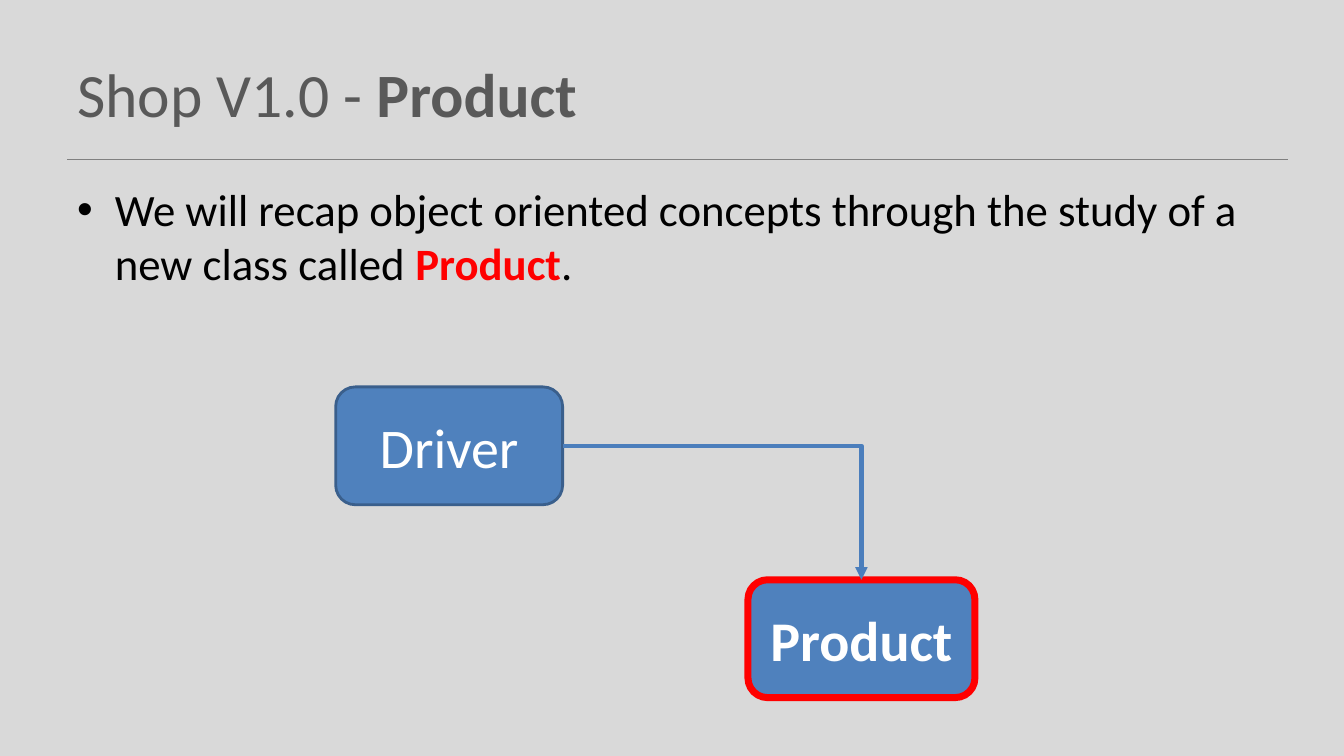
from dataclasses import dataclass

import pptx
import pptx.dml.color
import pptx.enum.shapes
import pptx.enum.text
import pptx.oxml
import pptx.oxml.ns
import pptx.util
from pptx.util import Cm, Pt

BLUE = "4F81BD"
RED = "FF0000"
WHITE = "FFFFFF"


@dataclass(frozen=True)
class TextPart:
    text: str
    size: int
    color: str
    bold: bool = False


@dataclass(frozen=True)
class ClassBox:
    label: TextPart
    left: float
    top: float
    line_color: str
    line_width: float


TITLE = [
    TextPart("Shop V1.0 - ", 44, "595959"),
    TextPart("Product", 44, "595959", bold=True),
]
BODY = [
    TextPart("We will recap object oriented concepts through the study of a new class called ", 32, "000000"),
    TextPart("Product", 32, RED, bold=True),
    TextPart(".", 32, "000000"),
]
DRIVER = ClassBox(TextPart("Driver", 40, WHITE), 8.46, 9.75, "3A5F8C", 2)
PRODUCT = ClassBox(TextPart("Product", 40, WHITE, bold=True), 18.85, 14.61, RED, 5)
BOX_WIDTH, BOX_HEIGHT = 5.72, 2.97


def rgb(color: str) -> pptx.dml.color.RGBColor:
    return pptx.dml.color.RGBColor.from_string(color)


def set_values(target, values: dict) -> None:
    for name, value in values.items():
        setattr(target, name, value)


def write_parts(paragraph, parts: list[TextPart]) -> None:
    for part in parts:
        run = paragraph.add_run()
        run.text = part.text
        set_values(run.font, {"name": "Calibri", "size": Pt(part.size), "bold": part.bold})
        run.font.color.rgb = rgb(part.color)


def fill_placeholder(shape, top: float, height: float, anchor, parts: list[TextPart]):
    """Place a full-width placeholder, write its text and return its paragraph."""
    set_values(shape, {"left": Cm(1.69), "top": Cm(top), "width": Cm(30.48), "height": Cm(height)})
    set_values(shape.text_frame, {
        "word_wrap": True,
        "auto_size": pptx.enum.text.MSO_AUTO_SIZE.NONE,
        "vertical_anchor": anchor,
    })
    paragraph = shape.text_frame.paragraphs[0]
    set_values(paragraph, {"alignment": pptx.enum.text.PP_ALIGN.LEFT, "space_before": Pt(0)})
    write_parts(paragraph, parts)
    return paragraph


def add_bullet(paragraph, indent: float) -> None:
    properties = paragraph._p.get_or_add_pPr()
    properties.set("marL", str(Cm(indent)))
    properties.set("indent", str(-Cm(indent)))
    bullet = pptx.oxml.parse_xml(f'<a:buChar {pptx.oxml.ns.nsdecls("a")} char="•"/>')
    properties.append(bullet)


def add_class_box(slide, box: ClassBox):
    shape = slide.shapes.add_shape(
        pptx.enum.shapes.MSO_SHAPE.ROUNDED_RECTANGLE,
        Cm(box.left), Cm(box.top), Cm(BOX_WIDTH), Cm(BOX_HEIGHT),
    )
    shape.shadow.inherit = False
    shape.fill.solid()
    shape.fill.fore_color.rgb = rgb(BLUE)
    shape.line.color.rgb = rgb(box.line_color)
    shape.line.width = Pt(box.line_width)
    shape.text_frame.vertical_anchor = pptx.enum.text.MSO_ANCHOR.MIDDLE
    paragraph = shape.text_frame.paragraphs[0]
    paragraph.alignment = pptx.enum.text.PP_ALIGN.CENTER
    write_parts(paragraph, [box.label])
    return shape


def add_line(slide, kind, start: tuple, end: tuple, color: str, width: float):
    line = slide.shapes.add_connector(kind, *map(Cm, start + end))
    line.line.color.rgb = rgb(color)
    line.line.width = Pt(width)
    properties = line._element.spPr
    properties.append(pptx.oxml.parse_xml(f'<a:effectLst {pptx.oxml.ns.nsdecls("a")}/>'))
    return line


def add_arrow(slide, source, target) -> None:
    """Link the right side of source to the top of target with one bend."""
    start = (DRIVER.left + BOX_WIDTH, DRIVER.top + BOX_HEIGHT / 2)
    end = (PRODUCT.left + BOX_WIDTH / 2, PRODUCT.top)
    arrow = add_line(slide, pptx.enum.shapes.MSO_CONNECTOR.ELBOW, start, end, "4B7EBC", 3)
    arrow.begin_connect(source, 3)
    arrow.end_connect(target, 0)
    arrow._element.spPr.find(pptx.oxml.ns.qn("a:prstGeom")).set("prst", "bentConnector2")
    head = pptx.oxml.parse_xml(f'<a:tailEnd {pptx.oxml.ns.nsdecls("a")} type="triangle"/>')
    arrow.line._get_or_add_ln().append(head)


def main() -> None:
    presentation = pptx.Presentation()
    set_values(presentation, {"slide_width": Cm(33.87), "slide_height": Cm(19.05)})
    slide = presentation.slides.add_slide(presentation.slide_layouts[1])
    slide.background.fill.solid()
    slide.background.fill.fore_color.rgb = rgb("D9D9D9")

    anchors = pptx.enum.text.MSO_ANCHOR
    fill_placeholder(slide.shapes.title, 0.76, 3.18, anchors.MIDDLE, TITLE)
    body = fill_placeholder(slide.placeholders[1], 4.45, 12.57, anchors.TOP, BODY)
    add_bullet(body, 0.95)
    add_line(slide, pptx.enum.shapes.MSO_CONNECTOR.STRAIGHT, (1.69, 4.02), (32.46, 4.02), "808080", 1)

    driver = add_class_box(slide, DRIVER)
    product = add_class_box(slide, PRODUCT)
    add_arrow(slide, driver, product)
    presentation.save("out.pptx")


if __name__ == "__main__":
    main()
